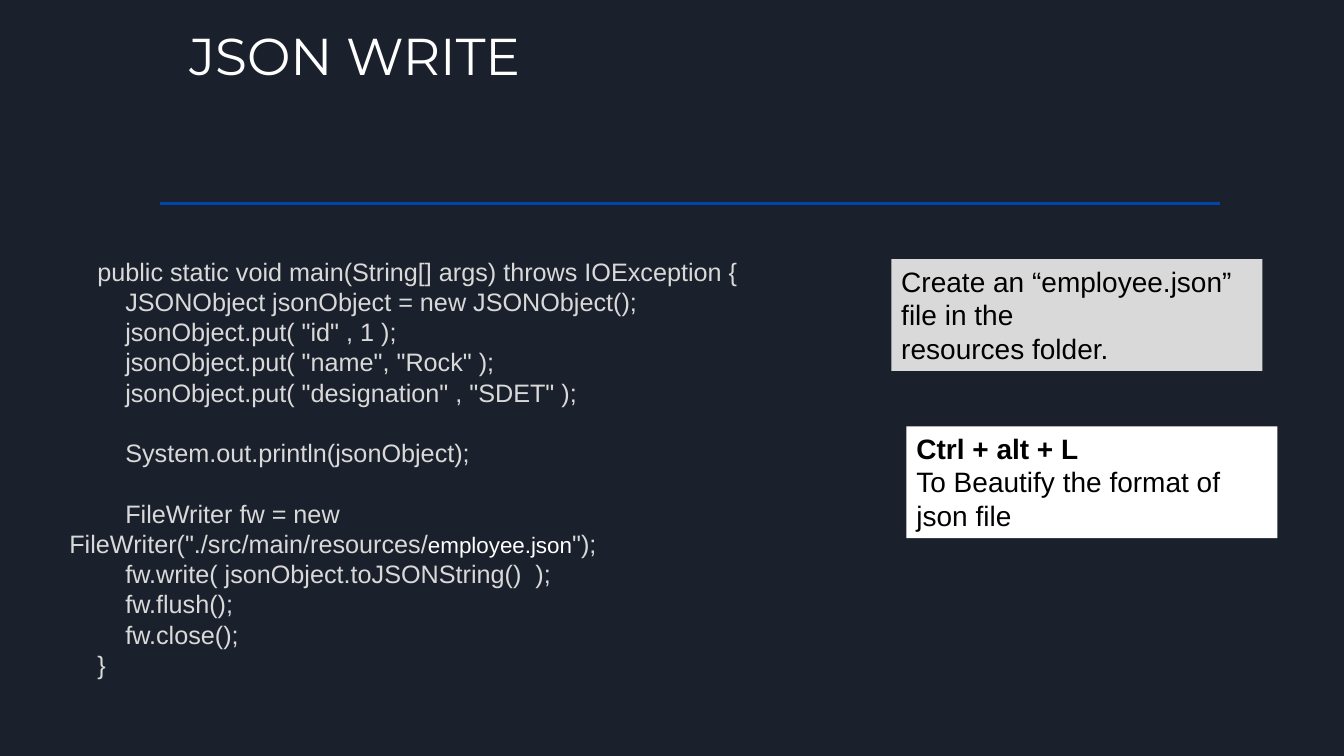
"""Build the JSON WRITE slide with a code sample and two notes."""
from lxml import etree
from pptx import Presentation
from pptx.dml.color import RGBColor
from pptx.enum.shapes import MSO_CONNECTOR as Connector, MSO_SHAPE as Shape
from pptx.enum.text import MSO_ANCHOR as Anchor, PP_ALIGN as Align
from pptx.oxml.ns import qn
from pptx.util import Inches, Pt

NAVY = RGBColor(0x1B, 0x21, 0x2C)
BLUE = RGBColor(0x01, 0x45, 0xAC)
GRAY = RGBColor(0xD9, 0xD9, 0xD9)
WHITE = RGBColor(0xFF, 0xFF, 0xFF)
BLACK = RGBColor(0x00, 0x00, 0x00)

WIDTH, HEIGHT = 13.33, 7.5
NOTE_SIZE = (3.68, 1.11)
FILE_NAME = "employee.json"
CODE_BLOCKS = [
    [
        "    public static void main(String[] args) throws IOException {",
        "        JSONObject jsonObject = new JSONObject();",
        '        jsonObject.put( "id" , 1 );',
        '        jsonObject.put( "name", "Rock" );',
        '        jsonObject.put( "designation" , "SDET" );',
    ],
    ["        System.out.println(jsonObject);"],
    [
        '        FileWriter fw = new FileWriter("./src/main/resources/employee.json");',
        "        fw.write( jsonObject.toJSONString()  );",
        "        fw.flush();",
        "        fw.close();",
        "    }",
    ],
]


def style(span, size, color, font="Arial", bold=False):
    """Set the font of one run."""
    span.font.name = font
    span.font.size = Pt(size)
    span.font.color.rgb = color
    span.font.bold = bold


def add_box(page, left, top, width, height):
    """Add a wrapping text box and return its text frame."""
    box = page.shapes.add_textbox(*map(Inches, (left, top, width, height)))
    box.text_frame.word_wrap = True
    return box.text_frame


def add_title(page, text):
    """Add the slide heading."""
    frame = add_box(page, 1.78, 0.26, 10.5, 1.15)
    frame.text = text
    para = frame.paragraphs[0]
    para.line_spacing = 0.9
    style(para.runs[0], 37, WHITE, "Montserrat")


def add_rule(page, left, right, top):
    """Draw the horizontal rule below the heading."""
    rule = page.shapes.add_connector(
        Connector.STRAIGHT, *map(Inches, (left, top, right, top)))
    rule.line.color.rgb = BLUE
    rule.line.width = Pt(2.5)
    etree.SubElement(rule._element.spPr, qn("a:effectLst"))


def add_code(page):
    """Write the code blocks, parted by one line of space."""
    frame = add_box(page, 0.59, 2.49, 8, 4.58)
    para = frame.paragraphs[0]
    for block_index, block in enumerate(CODE_BLOCKS):
        for line_index, line in enumerate(block):
            if block_index or line_index:
                para = frame.add_paragraph()
            if block_index and not line_index:
                para.space_before = Pt(21.6)
            before, name, after = line.partition(FILE_NAME)
            for text, size, color in ((before, 18, GRAY), (name, 16, WHITE), (after, 18, GRAY)):
                if text:
                    span = para.add_run()
                    span.text = text
                    style(span, size, color)


def add_note(page, left, top, fill, lines, bold_first=False):
    """Add a filled note with one paragraph per line."""
    note = page.shapes.add_shape(
        Shape.RECTANGLE, *map(Inches, (left, top, *NOTE_SIZE)))
    note.shadow.inherit = False
    note.fill.solid()
    note.fill.fore_color.rgb = fill
    note.line.fill.background()
    frame = note.text_frame
    frame.word_wrap = True
    frame.vertical_anchor = Anchor.TOP
    frame.text = "\n".join(lines)
    for index, para in enumerate(frame.paragraphs):
        para.alignment = Align.LEFT
        style(para.runs[0], 20, BLACK, bold=bold_first and index == 0)


def main():
    """Build and save the deck."""
    deck = Presentation()
    deck.slide_width, deck.slide_height = Inches(WIDTH), Inches(HEIGHT)
    page = deck.slides.add_slide(deck.slide_layouts[6])
    page.background.fill.solid()
    page.background.fill.fore_color.rgb = NAVY
    add_rule(page, 1.59, 12.1, 2.02)
    add_title(page, "JSON WRITE")
    add_note(page, 8.84, 2.57, GRAY,
             ["Create an “employee.json” file in the", "resources folder."])
    add_code(page)
    add_note(page, 8.99, 4.23, WHITE,
             ["Ctrl + alt + L", "To Beautify the format of json file"], bold_first=True)
    deck.save("out.pptx")


if __name__ == "__main__":
    main()
